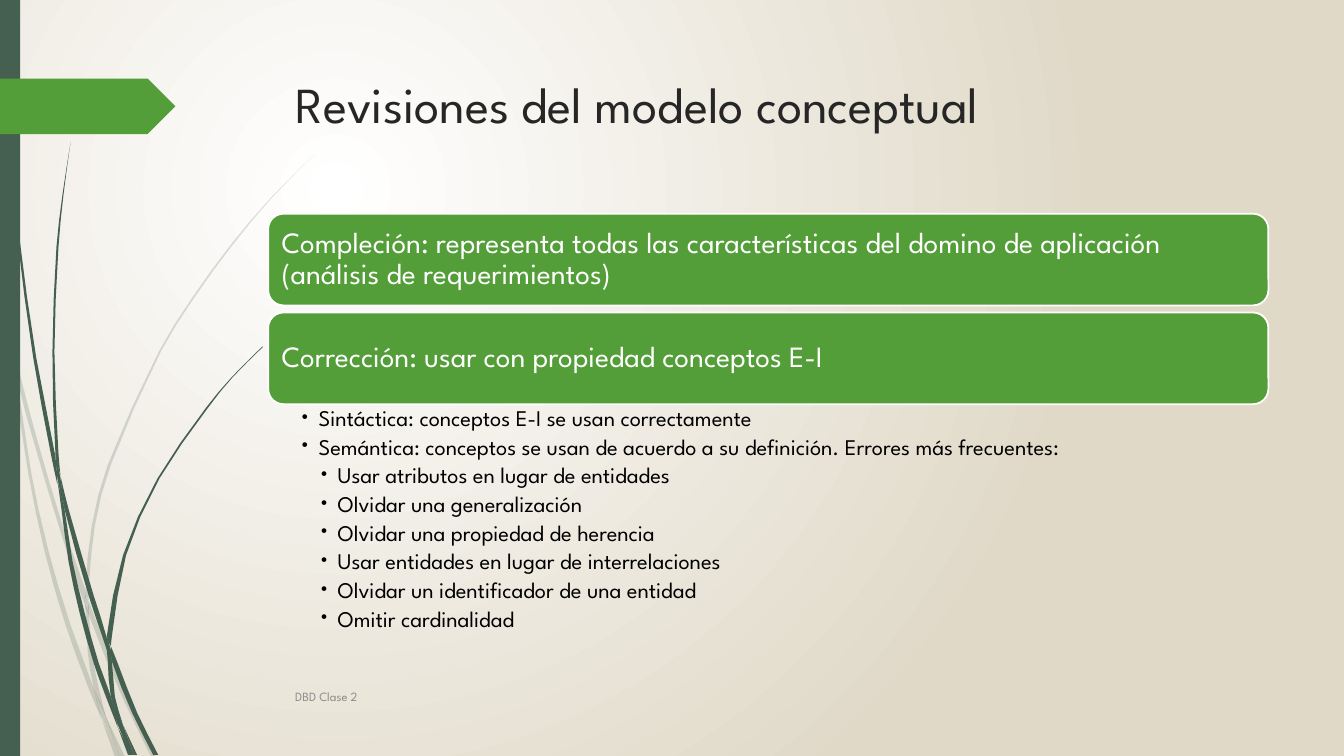
from dataclasses import dataclass

from lxml import etree
from pptx import Presentation
from pptx.dml.color import RGBColor
from pptx.enum.shapes import MSO_SHAPE
from pptx.enum.text import MSO_ANCHOR, PP_ALIGN
from pptx.oxml.ns import qn
from pptx.util import Inches, Pt

RECTANGLE = MSO_SHAPE.RECTANGLE
ROUNDED = MSO_SHAPE.ROUNDED_RECTANGLE
PENTAGON = MSO_SHAPE.PENTAGON
TOP, MIDDLE = MSO_ANCHOR.TOP, MSO_ANCHOR.MIDDLE
LEFT = PP_ALIGN.LEFT


@dataclass(frozen=True)
class Theme:
    font: str = "League Spartan"
    green: RGBColor = RGBColor(0x54, 0x9E, 0x39)
    stem: RGBColor = RGBColor(0x45, 0x5F, 0x51)
    white: RGBColor = RGBColor(0xFF, 0xFF, 0xFF)
    sand: RGBColor = RGBColor(0xE0, 0xD9, 0xC8)
    heading: RGBColor = RGBColor(0x26, 0x26, 0x26)
    body: RGBColor = RGBColor(0, 0, 0)
    muted: RGBColor = RGBColor(0x8C, 0x8C, 0x8C)
    title_size: int = 36
    card_size: int = 21
    bullet_size: int = 16
    footer_size: int = 9


THEME = Theme()

# Each piece of a stem is a list of stations: (y, left edge, right edge)
FAINT_STEMS = [
    [(2.82, 0, 0), (2.99, 0, .04), (3.22, .05, .09), (3.5, .11, .11)],
    [(3.45, .14, .14), (3.76, .17, .21), (4.33, .32, .36), (5.21, .58, .62), (5.86, .79, .85),
     (5.99, .84, .84)],
    [(5.96, .88, .88), (6.1, .88, .93), (6.93, 1.22, 1.27), (7.51, 1.5, 1.55)],
    [(7.11, 1.05, 1.05), (7.51, 1.19, 1.24)],
    [(3.5, .11, .11), (3.76, .14, .17), (4.69, .28, .31), (5.46, .44, .48), (6.2, .65, .7),
     (6.83, .88, .93), (7.14, 1.01, 1.01)],
    [(5.99, .84, .84), (6.08, .85, .88), (6.46, .87, .91), (6.83, .93, .98), (7.11, 1.05, 1.05)],
    [(1.53, 3.12, 3.12), (1.97, 2.68, 2.69), (2.44, 2.28, 2.3), (2.95, 1.91, 1.93),
     (3.48, 1.58, 1.6), (4.61, 1.07, 1.1), (5.22, .91, .94), (5.84, .85, .88), (5.96, .88, .88)],
    [(7.14, 1.01, 1.01), (7.51, 1.14, 1.19)],
    [(5.86, .85, .85), (5.99, .84, .88), (6.1, .88, .88)],
    [(6.83, .93, .93), (7.07, .99, 1.04), (7.51, 1.19, 1.19)],
]
DARK_STEMS = [
    [(0, .03, .04), (1.1, .07, .08), (2.33, .17, .19), (3.55, .33, .36), (4.53, .51, .55),
     (4.81, .57, .57)],
    [(4.72, .6, .6), (5.05, .64, .68), (5.91, .88, .93), (6.33, 1.02, 1.06), (6.45, 1.06, 1.06)],
    [(6.41, 1.1, 1.1), (6.56, 1.11, 1.16), (7.07, 1.31, 1.36), (7.49, 1.52, 1.57)],
    [(4.77, .57, .57), (5.05, .61, .64), (5.57, .68, .72), (6.08, .79, .84), (6.58, .93, .98),
     (6.91, 1.05, 1.1), (7.22, 1.17, 1.17)],
    [(1.41, .7, .7), (1.93, .62, .63), (2.45, .56, .58), (3.49, .52, .54), (4.5, .55, .58),
     (4.72, .6, .6)],
    [(7.19, 1.22, 1.22), (7.49, 1.33, 1.36)],
    [(4.49, .55, .55), (4.75, .57, .6), (5.05, .64, .64)],
    [(3.44, 2.6, 2.61), (3.74, 2.3, 2.31), (4.05, 2.04, 2.06), (4.75, 1.56, 1.58),
     (5.51, 1.22, 1.25), (6.31, 1.06, 1.11), (6.41, 1.1, 1.1)],
    [(7.22, 1.17, 1.17), (7.49, 1.27, 1.31)],
    [(6.45, 1.06, 1.06), (6.56, 1.07, 1.11), (6.91, 1.1, 1.14), (7.19, 1.22, 1.22)],
    [(6.31, 1.06, 1.06), (6.45, 1.06, 1.1), (6.56, 1.11, 1.11)],
    [(6.91, 1.1, 1.1), (7.17, 1.16, 1.21), (7.49, 1.3, 1.33)],
]
CARDS = [
    "Compleción: representa todas las características del domino de aplicación "
    "(análisis de requerimientos)",
    "Corrección: usar con propiedad conceptos E-I",
]
BULLETS = [
    (1, "Sintáctica: conceptos E-I se usan correctamente"),
    (1, "Semántica: conceptos se usan de acuerdo a su definición. Errores más frecuentes:"),
    (2, "Usar atributos en lugar de entidades"),
    (2, "Olvidar una generalización"),
    (2, "Olvidar una propiedad de herencia"),
    (2, "Usar entidades en lugar de interrelaciones"),
    (2, "Olvidar un identificador de una entidad"),
    (2, "Omitir cardinalidad"),
]


def smooth_edge(stations, side):
    """Return points of a smooth curve x(y) through one edge, with a midpoint per span."""
    ys = [station[0] for station in stations]
    xs = [station[side] for station in stations]
    last = len(ys) - 1
    slopes = []
    for i in range(last + 1):
        before, after = max(i - 1, 0), min(i + 1, last)
        slopes.append((xs[after] - xs[before]) / (ys[after] - ys[before]))
    points = [(Inches(xs[0]), Inches(ys[0]))]
    for i in range(last):
        bow = (ys[i + 1] - ys[i]) * (slopes[i] - slopes[i + 1]) / 8
        middle = (xs[i] + xs[i + 1]) / 2 + bow
        points.append((Inches(middle), Inches((ys[i] + ys[i + 1]) / 2)))
        points.append((Inches(xs[i + 1]), Inches(ys[i + 1])))
    return points


def write(shape, lines, size, color, anchor, insets=(.1, .05, .1, .05)):
    """Fill a shape with left-aligned paragraphs in the theme font."""
    frame = shape.text_frame
    frame.text = "\n".join(lines)
    frame.word_wrap = True
    frame.vertical_anchor = anchor
    (frame.margin_left, frame.margin_top,
     frame.margin_right, frame.margin_bottom) = map(Inches, insets)
    for paragraph in frame.paragraphs:
        paragraph.alignment = LEFT
        font = paragraph.runs[0].font
        font.name, font.size, font.color.rgb = THEME.font, Pt(size), color
    return frame.paragraphs


presentation = Presentation()
presentation.slide_width, presentation.slide_height = Inches(13.33), Inches(7.5)
slide = presentation.slides.add_slide(presentation.slide_layouts[5])
shapes = slide.shapes

# Background: radial gradient centred in the upper left
background = slide.background.fill
background.gradient()
for stop, position, color in zip(background.gradient_stops, (0, 1), (THEME.white, THEME.sand)):
    stop.position, stop.color.rgb = position, color
gradient = slide.element.find(".//" + qn("a:gradFill"))
gradient.remove(gradient.find(qn("a:lin")))
radial = etree.SubElement(gradient, qn("a:path"))
radial.set("path", "circle")
etree.SubElement(radial, qn("a:fillToRect"), l="50000", t="50000", r="100000", b="100000")

# Stems
for stems, opacity in ((FAINT_STEMS, 20), (DARK_STEMS, 100)):
    for stations in stems:
        outline = smooth_edge(stations, 1) + smooth_edge(stations, 2)[::-1]
        builder = shapes.build_freeform(*outline[0])
        builder.add_line_segments(outline[1:], close=True)
        stem = builder.convert_to_shape()
        stem.shadow.inherit = False
        stem.line.fill.background()
        stem.fill.solid()
        stem.fill.fore_color.rgb = THEME.stem
        if opacity < 100:
            color = stem.element.spPr.find(".//" + qn("a:srgbClr"))
            etree.SubElement(color, qn("a:alpha"), val=str(opacity * 1000))

# Side bar and tag
for kind, top, width, height, color in ((RECTANGLE, 0, .2, 7.5, THEME.stem),
                                        (PENTAGON, .78, 1.74, .55, THEME.green)):
    band = shapes.add_shape(kind, 0, Inches(top), Inches(width), Inches(height))
    band.shadow.inherit = False
    band.line.fill.background()
    band.fill.solid()
    band.fill.fore_color.rgb = color

title = shapes.title
title.left, title.top = Inches(2.83), Inches(.68)
title.width, title.height = Inches(9.75), Inches(1.4)
write(title, ["Revisiones del modelo conceptual"], THEME.title_size, THEME.heading, TOP)

# Cards
for index, text in enumerate(CARDS):
    card = shapes.add_shape(ROUNDED, Inches(2.66), Inches(2.12 + .98 * index),
                            Inches(9.92), Inches(.91))
    card.shadow.inherit = False
    card.fill.solid()
    card.fill.fore_color.rgb = THEME.green
    card.line.color.rgb = THEME.white
    card.line.width = Pt(1.25)
    paragraphs = write(card, [text], THEME.card_size, THEME.white, MIDDLE, (.09, .05, .09, .05))
    paragraphs[0].line_spacing = .9

# Bullets
details = shapes.add_textbox(Inches(2.66), Inches(4.01), Inches(9.92), Inches(2.42))
paragraphs = write(details, [text for _, text in BULLETS], THEME.bullet_size,
                   THEME.body, TOP, (.31, .03, .16, .03))
for paragraph, (level, _) in zip(paragraphs, BULLETS):
    paragraph.level = level
    paragraph.line_spacing = .9
    paragraph.space_after = Pt(THEME.bullet_size * .2)
    properties = paragraph._p.get_or_add_pPr()
    properties.set("marL", str(Inches(.19 * level)))
    properties.set("indent", str(Inches(-.19)))
    etree.SubElement(properties, qn("a:buFont"), typeface=THEME.font)
    etree.SubElement(properties, qn("a:buChar"), char="•")

footer = shapes.add_textbox(Inches(2.83), Inches(6.71), Inches(8.33), Inches(.4))
write(footer, ["DBD Clase 2"], THEME.footer_size, THEME.muted, MIDDLE)

presentation.save("out.pptx")
